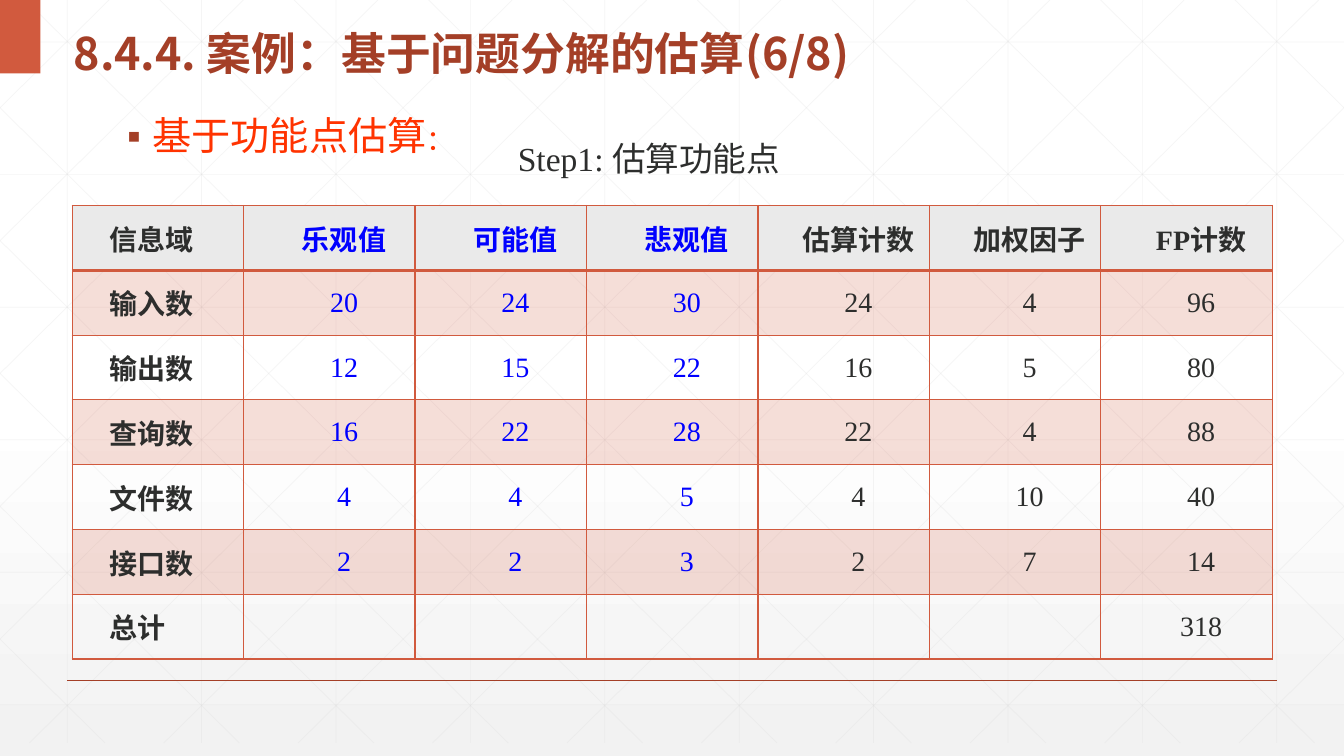
from dataclasses import dataclass

from lxml.etree import SubElement
from pptx import Presentation
from pptx.dml.color import RGBColor
from pptx.enum.shapes import MSO_CONNECTOR, MSO_SHAPE
from pptx.enum.text import MSO_ANCHOR, MSO_AUTO_SIZE, PP_ALIGN
from pptx.oxml import parse_xml
from pptx.oxml.ns import nsdecls, qn
from pptx.util import Cm, Pt


@dataclass(frozen=True)
class Theme:
    accent: str = "D15A3E"
    dark_accent: str = "A43F27"
    highlight: str = "FF3300"
    estimate: str = "0000FF"
    text: str = "2D2E2D"
    header: str = "EAEAEA"
    grid: str = "D9D9D9"
    sans: str = "Noto Sans CJK SC"
    serif: str = "Times New Roman"
    title_size: int = 32
    body_size: int = 28
    caption_size: int = 24
    small_size: int = 20


theme = Theme()
WIDTH, HEIGHT, GRID_HEIGHT = 33.87, 19.05, 18.72


def add_run(paragraph, text, color, name, size, bold=False):
    run = paragraph.add_run()
    run.text = text
    for attribute, value in {"name": name, "size": Pt(size), "bold": bold}.items():
        setattr(run.font, attribute, value)
    run.font.color.rgb = RGBColor.from_string(color)
    SubElement(run._r.get_or_add_rPr(), qn("a:ea"), typeface=theme.sans)


def add_line(start_x, start_y, end_x, end_y, color, width, opacity=100):
    line = slide.shapes.add_connector(
        MSO_CONNECTOR.STRAIGHT, Cm(start_x), Cm(start_y), Cm(end_x), Cm(end_y))
    line.line.color.rgb = RGBColor.from_string(color)
    line.line.width = Pt(width)
    properties = line.element.spPr
    if opacity < 100:
        color_element = next(properties.iter(qn("a:srgbClr")))
        SubElement(color_element, qn("a:alpha"), val=str(opacity * 1000))
    SubElement(properties, qn("a:effectLst"))


presentation = Presentation()
presentation.slide_width, presentation.slide_height = Cm(WIDTH), Cm(HEIGHT)
slide = presentation.slides.add_slide(presentation.slide_layouts[1])

background = slide.background.fill
background.gradient()
background.gradient_angle = 270
stops = next(slide.element.iter(qn("a:gsLst")))
for stop in list(stops):
    stops.remove(stop)
for position, color in [(0, "FFFFFF"), (53, "FFFFFF"), (100, "F2F2F2")]:
    stop = SubElement(stops, qn("a:gs"), pos=str(position * 1000))
    SubElement(stop, qn("a:srgbClr"), val=color)

grid_step = WIDTH / 10
for column in range(10):
    x = (column + 0.5) * grid_step
    add_line(x, 0, x, GRID_HEIGHT, theme.grid, 0.5, 25)
for row in range(6):
    y = 1.06 + 3.34 * row
    add_line(0, y, WIDTH, y, theme.grid, 0.5, 25)
diagonal_run = 18.94
slope = GRID_HEIGHT / diagonal_run
for index in range(-5, 10):
    origin = 0.64 + index * grid_step
    left, right = max(0, origin), min(WIDTH, origin + diagonal_run)
    top, bottom = (left - origin) * slope, (right - origin) * slope
    add_line(left, top, right, bottom, theme.grid, 0.5, 25)
    add_line(WIDTH - left, top, WIDTH - right, bottom, theme.grid, 0.5, 25)
add_line(1.69, 17.15, 32.18, 17.15, theme.dark_accent, 1)

corner = slide.shapes.add_shape(MSO_SHAPE.RECTANGLE, 0, 0, Cm(1.02), Cm(1.85))
corner.shadow.inherit = False
corner.fill.solid()
corner.fill.fore_color.rgb = RGBColor.from_string(theme.accent)
corner.line.fill.background()

title, body = slide.shapes.title, slide.placeholders[1]
placements = [
    (title, 1.6, 0.2, 1.85, MSO_ANCHOR.MIDDLE, 1.3),
    (body, 2.95, 2.82, 10.59, MSO_ANCHOR.TOP, 0.9),
]
for shape, left, top, height, anchor, spacing in placements:
    shape.element.getparent().append(shape.element)
    box = {"left": Cm(left), "top": Cm(top), "width": Cm(26.67), "height": Cm(height)}
    for attribute, value in box.items():
        setattr(shape, attribute, value)
    frame_format = {"word_wrap": True, "auto_size": MSO_AUTO_SIZE.NONE, "vertical_anchor": anchor}
    for attribute, value in frame_format.items():
        setattr(shape.text_frame, attribute, value)
    paragraph_format = {"alignment": PP_ALIGN.LEFT, "line_spacing": spacing, "space_before": Pt(0)}
    for attribute, value in paragraph_format.items():
        setattr(shape.text_frame.paragraphs[0], attribute, value)

add_run(title.text_frame.paragraphs[0], "8.4.4. 案例：基于问题分解的估算(6/8)",
        theme.dark_accent, theme.sans, theme.title_size, True)

body_paragraph = body.text_frame.paragraphs[0]
bullet = body_paragraph._p.get_or_add_pPr()
bullet.set("marL", str(Cm(0.64)))
bullet.set("indent", str(Cm(-0.64)))
SubElement(SubElement(bullet, qn("a:buClr")), qn("a:srgbClr"), val=theme.dark_accent)
SubElement(bullet, qn("a:buChar"), char="▪")
add_run(body_paragraph, "基于功能点估算", theme.highlight, theme.sans, theme.body_size)
add_run(body_paragraph, "：", theme.highlight, theme.sans, theme.small_size)

caption = slide.shapes.add_textbox(Cm(12.8), Cm(3.35), Cm(7.34), Cm(1.27))
caption.text_frame.word_wrap = False
caption.text_frame.auto_size = MSO_AUTO_SIZE.SHAPE_TO_FIT_TEXT
add_run(caption.text_frame.paragraphs[0], "Step1: 估算功能点",
        theme.text, theme.serif, theme.caption_size)

function_points = [
    ["信息域", "乐观值", "可能值", "悲观值", "估算计数", "加权因子", "FP计数"],
    ["输入数", "20", "24", "30", "24", "4", "96"],
    ["输出数", "12", "15", "22", "16", "5", "80"],
    ["查询数", "16", "22", "28", "22", "4", "88"],
    ["文件数", "4", "4", "5", "4", "10", "40"],
    ["接口数", "2", "2", "3", "2", "7", "14"],
    ["总计", "", "", "", "", "", "318"],
]
table = slide.shapes.add_table(7, 7, Cm(1.82), Cm(5.18), Cm(30.24), Cm(11.43)).table
table.first_row = table.horz_banding = False
for column in table.columns:
    column.width = Cm(4.32)
for row in table.rows:
    row.height = Cm(11.43 / 7)

for row, values in enumerate(function_points):
    for column, value in enumerate(values):
        cell = table.cell(row, column)
        cell_format = {"margin_left": Cm(0.19), "margin_right": Cm(0.19), "margin_top": 0,
                       "margin_bottom": 0, "vertical_anchor": MSO_ANCHOR.MIDDLE}
        for attribute, setting in cell_format.items():
            setattr(cell, attribute, setting)
        properties = cell._tc.get_or_add_tcPr()
        for side in "LRTB":
            heavy = (row, side) in [(0, "B"), (1, "T")]
            properties.append(parse_xml(
                f'<a:ln{side} {nsdecls("a")} w="{Pt(2 if heavy else 1)}"><a:solidFill>'
                f'<a:srgbClr val="{theme.accent}"/></a:solidFill></a:ln{side}>'))
        if row == 0:
            cell.fill.solid()
            cell.fill.fore_color.rgb = RGBColor.from_string(theme.header)
        elif row % 2:
            cell.fill.solid()
            cell.fill.fore_color.rgb = RGBColor.from_string(theme.accent)
            fill_color = properties.find(qn("a:solidFill")).find(qn("a:srgbClr"))
            SubElement(fill_color, qn("a:alpha"), val="20000")
        else:
            cell.fill.background()
        if value:
            paragraph = cell.text_frame.paragraphs[0]
            paragraph.alignment = PP_ALIGN.CENTER if column else PP_ALIGN.JUSTIFY
            paragraph._p.get_or_add_pPr().set("indent", str(Cm(0.74)))
            color = theme.estimate if column in (1, 2, 3) else theme.text
            add_run(paragraph, value, color, theme.serif, theme.small_size,
                    row == 0 or column == 0)

presentation.save("out.pptx")
